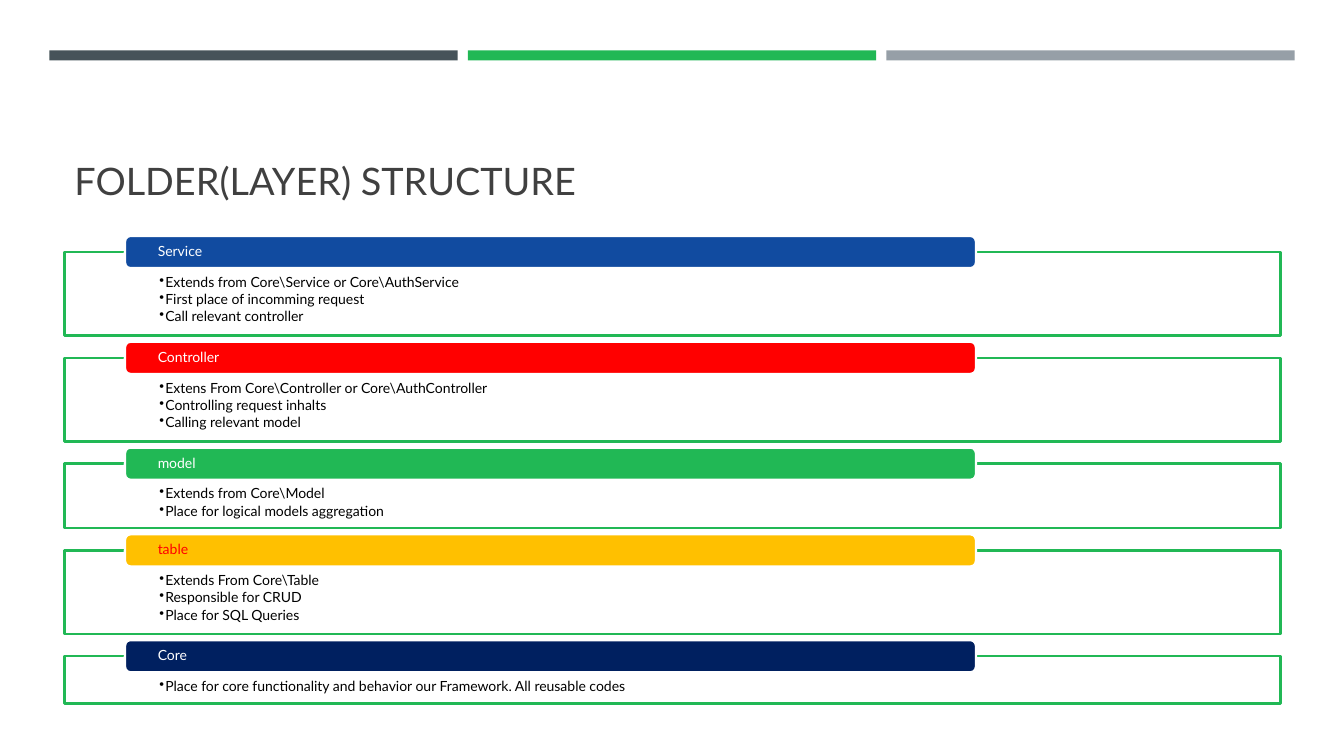
from dataclasses import dataclass

from pptx import Presentation
from pptx.dml.color import RGBColor
from pptx.enum import shapes, text
from pptx.oxml.ns import qn
from pptx.util import Inches, Pt
from lxml import etree


@dataclass(frozen=True)
class Theme:
    font: str = "Lato"
    title_size: int = 27
    size: int = 10
    edge: float = 1.75
    slate: str = "465359"
    green: str = "21B855"
    grey: str = "969FA7"
    blue: str = "114BA0"
    red: str = "FF0000"
    gold: str = "FFC000"
    navy: str = "002060"
    white: str = "FFFFFF"
    black: str = "000000"
    title: str = "404040"


LEFT, WIDE = 0.64, 12.06
TOP, GAP = 2.5, 0.22
TAB_LEFT, TAB_WIDE, TAB_HIGH, TAB_RISE = 1.24, 8.44, 0.32, 0.16
HEIGHTS = {1: 0.47, 2: 0.64, 3: 0.83}


class Deck:
    def __init__(self, theme):
        self.theme = theme
        self.prs = Presentation()
        self.prs.slide_width, self.prs.slide_height = Inches(13.33), Inches(7.5)
        self.slide = self.prs.slides.add_slide(self.prs.slide_layouts[6])

    def box(self, kind, at, fill, line=None):
        shape = self.slide.shapes.add_shape(kind, *map(Inches, at))
        shape.shadow.inherit = False
        shape.fill.solid()
        shape.fill.fore_color.rgb = RGBColor.from_string(fill)
        if line:
            shape.line.color.rgb = RGBColor.from_string(line)
            shape.line.width = Pt(self.theme.edge)
        else:
            shape.line.fill.background()
        return shape

    def label(self, shape, lines, color, size, inset, anchor, after=0, bullet=False):
        """Fill a shape with left-aligned lines; inset is left, top, right, bottom."""
        frame = shape.text_frame
        left, top, right, bottom = map(Inches, inset)
        style = {"word_wrap": True, "vertical_anchor": anchor,
                 "margin_left": left, "margin_top": top,
                 "margin_right": right, "margin_bottom": bottom}
        for name, value in style.items():
            setattr(frame, name, value)
        for i, line in enumerate(lines):
            para = frame.add_paragraph() if i else frame.paragraphs[0]
            form = {"alignment": text.PP_ALIGN.LEFT, "line_spacing": 0.9,
                    "space_before": Pt(0), "space_after": Pt(after)}
            for name, value in form.items():
                setattr(para, name, value)
            run = para.add_run()
            run.text = line
            for name, value in {"name": self.theme.font, "size": Pt(size)}.items():
                setattr(run.font, name, value)
            run.font.color.rgb = RGBColor.from_string(color)
            if bullet:
                self.mark(para)

    def mark(self, para):
        """Give a paragraph a hanging round bullet."""
        para.level = 1
        props = para._p.get_or_add_pPr()
        props.set("marL", str(Inches(0.06)))
        props.set("indent", str(Inches(-0.06)))
        etree.SubElement(props, qn("a:buChar")).set("char", "•")

    def bars(self, colors):
        for i, color in enumerate(colors):
            self.box(shapes.MSO_SHAPE.RECTANGLE, (0.49 + 4.15 * i, 0.5, 4.05, 0.1), color)

    def title(self, words):
        box = self.slide.shapes.add_textbox(*map(Inches, (LEFT, 0.77, WIDE, 1.3)))
        self.label(box, [words], self.theme.title, self.theme.title_size,
                   (0.1, 0.05, 0.1, 0.05), text.MSO_ANCHOR.BOTTOM)

    def panel(self, top, high, points):
        t = self.theme
        box = self.box(shapes.MSO_SHAPE.RECTANGLE, (LEFT, top, WIDE, high), t.white, t.green)
        tint = box._element.spPr.find(qn("a:solidFill"))[0]
        etree.SubElement(tint, qn("a:alpha")).set("val", "90000")
        self.label(box, points, t.black, t.size, (0.94, 0.23, 0.94, 0.08),
                   text.MSO_ANCHOR.TOP, after=1.5, bullet=True)

    def tab(self, top, name, fill, color):
        t = self.theme
        box = self.box(shapes.MSO_SHAPE.ROUNDED_RECTANGLE,
                       (TAB_LEFT, top, TAB_WIDE, TAB_HIGH), fill, t.white)
        self.label(box, [name], color, t.size, (0.31, 0, 0.31, 0), text.MSO_ANCHOR.MIDDLE)

    def layers(self, items):
        """Stack the layers, each panel as high as its number of points needs."""
        top = TOP
        for name, fill, color, points in items:
            high = HEIGHTS[len(points)]
            self.panel(top, high, points)
            self.tab(top - TAB_RISE, name, fill, color)
            top += high + GAP


def main():
    t = Theme()
    deck = Deck(t)
    deck.bars([t.slate, t.green, t.grey])
    deck.title("FOLDER(LAYER) STRUCTURE")
    deck.layers([
        ("Service", t.blue, t.white,
         ["Extends from Core\\Service or Core\\AuthService",
          "First place of incomming request",
          "Call relevant controller"]),
        ("Controller", t.red, t.white,
         ["Extens From Core\\Controller or Core\\AuthController",
          "Controlling request inhalts",
          "Calling relevant model"]),
        ("model", t.green, t.white,
         ["Extends from Core\\Model",
          "Place for logical models aggregation"]),
        ("table", t.gold, t.red,
         ["Extends From Core\\Table",
          "Responsible for CRUD",
          "Place for SQL Queries"]),
        ("Core", t.navy, t.white,
         ["Place for core functionality and behavior our Framework. All reusable codes"]),
    ])
    deck.prs.save("out.pptx")


if __name__ == "__main__":
    main()
